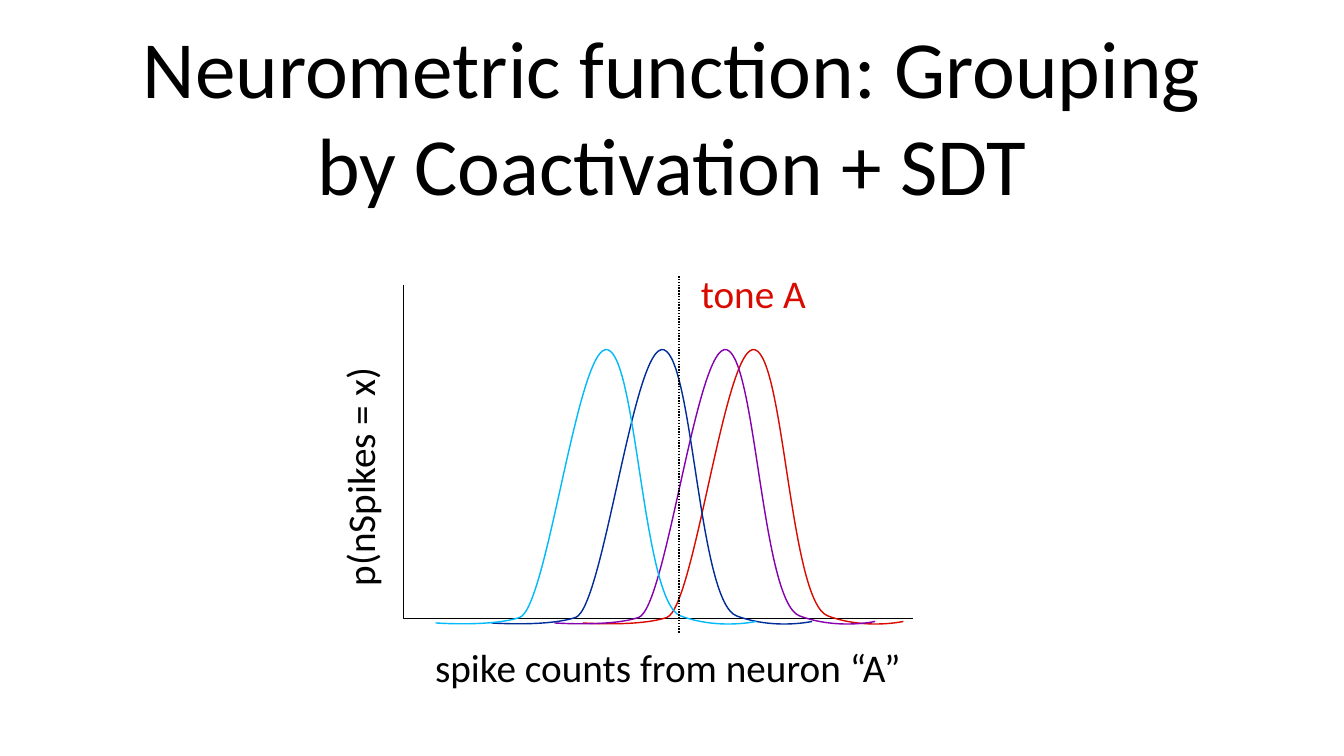
import pptx
import pptx.dml.color
import pptx.enum.dml
import pptx.enum.shapes
import pptx.enum.text
import pptx.oxml.ns
import pptx.oxml.xmlchemy
import pptx.util
from lxml import etree
from pptx.util import Inches

RGBColor = pptx.dml.color.RGBColor
BLACK = RGBColor(0x00, 0x00, 0x00)
RED = RGBColor(0xD9, 0x0B, 0x00)
PURPLE = RGBColor(0x85, 0x00, 0xAF)
NAVY = RGBColor(0x00, 0x2D, 0x99)
SKY = RGBColor(0x00, 0xBA, 0xFB)

FONT = "Calibri"
LINE_WIDTH = pptx.util.Pt(2)
TITLE_SIZE = pptx.util.Pt(116)
LABEL_SIZE = pptx.util.Pt(56)

# Bezier points of one tuning curve: x from its left end, y on the slide.
BELL = [
    (0, 12.36),
    (0, 12.36), (1.11, 12.44), (1.67, 12.25),
    (2.22, 12.05), (2.83, 6.75), (3.42, 6.94),
    (4, 7.14), (4.11, 11.94), (4.86, 12.22),
    (5.61, 12.5), (6.36, 12.33), (6.36, 12.33),
]


def format_text(frame, text, size, color, margin):
    frame.text = text
    frame.word_wrap = True
    frame.auto_size = pptx.enum.text.MSO_AUTO_SIZE.NONE
    frame.vertical_anchor = pptx.enum.text.MSO_ANCHOR.MIDDLE
    frame.margin_left = frame.margin_right = Inches(margin)
    frame.margin_top = frame.margin_bottom = Inches(margin)
    paragraph = frame.paragraphs[0]
    paragraph.alignment = pptx.enum.text.PP_ALIGN.CENTER
    paragraph.font.name = FONT
    paragraph.font.size = size
    paragraph.font.color.rgb = color


def set_title(slide, text):
    title = slide.shapes.title
    title.left, title.top = Inches(1.9), Inches(0.39)
    title.width, title.height = Inches(22.86), Inches(3.76)
    format_text(title.text_frame, text, TITLE_SIZE, BLACK, 0.06)


def add_label(slide, text, left, top, width, color=BLACK, rotation=0):
    label = slide.shapes.add_textbox(
        Inches(left), Inches(top), Inches(width), Inches(0.93))
    label.rotation = rotation
    format_text(label.text_frame, text, LABEL_SIZE, color, 0)
    label.text_frame.word_wrap = False


def add_outline(slide, points, color):
    """Draw an open, unfilled line through points given in inches."""
    start, *rest = [(Inches(x), Inches(y)) for x, y in points]
    builder = slide.shapes.build_freeform(*start)
    builder.add_line_segments(rest, close=False)
    outline = builder.convert_to_shape()
    outline.shadow.inherit = False
    outline.fill.background()
    outline.line.color.rgb = color
    outline.line.width = LINE_WIDTH
    return outline


def add_bell(slide, left, color):
    """Draw a tuning curve, turning each three line steps into one Bezier."""
    bell = add_outline(slide, [(left + x, y) for x, y in BELL], color)
    qn = pptx.oxml.ns.qn
    steps = list(bell.element.iter(qn("a:lnTo")))
    for first in range(0, len(steps), 3):
        curve = etree.Element(qn("a:cubicBezTo"))
        steps[first].addprevious(curve)
        for step in steps[first:first + 3]:
            curve.append(step[0])
            step.getparent().remove(step)


def add_criterion(slide, x, top, bottom):
    criterion = slide.shapes.add_connector(
        pptx.enum.shapes.MSO_CONNECTOR.STRAIGHT,
        Inches(x), Inches(top), Inches(x), Inches(bottom))
    criterion.line.color.rgb = BLACK
    criterion.line.width = LINE_WIDTH
    criterion.line.dash_style = pptx.enum.dml.MSO_LINE.ROUND_DOT
    etree.SubElement(
        criterion.element.spPr, pptx.oxml.ns.qn("a:effectLst"))


def main():
    presentation = pptx.Presentation()
    presentation.slide_width = Inches(26.66)
    presentation.slide_height = Inches(15)
    slide = presentation.slides.add_slide(presentation.slide_layouts[5])

    set_title(slide, "Neurometric function: Grouping by Coactivation + SDT")
    add_outline(slide, [(8, 5.65), (8, 12.27), (18.11, 12.27)], BLACK)
    for left, color in [(11.56, RED), (11, PURPLE), (9.75, NAVY), (8.64, SKY)]:
        add_bell(slide, left, color)
    add_criterion(slide, 13.47, 5.48, 12.56)

    add_label(slide, "spike counts from neuron “A”", 7.9, 12.76, 10.7)
    add_label(slide, "tone A", 13.76, 5.34, 2.37, RED)
    add_label(slide, "p(nSpikes = x)", 4.62, 9, 5.02, rotation=270)

    presentation.save("out.pptx")


if __name__ == "__main__":
    main()
